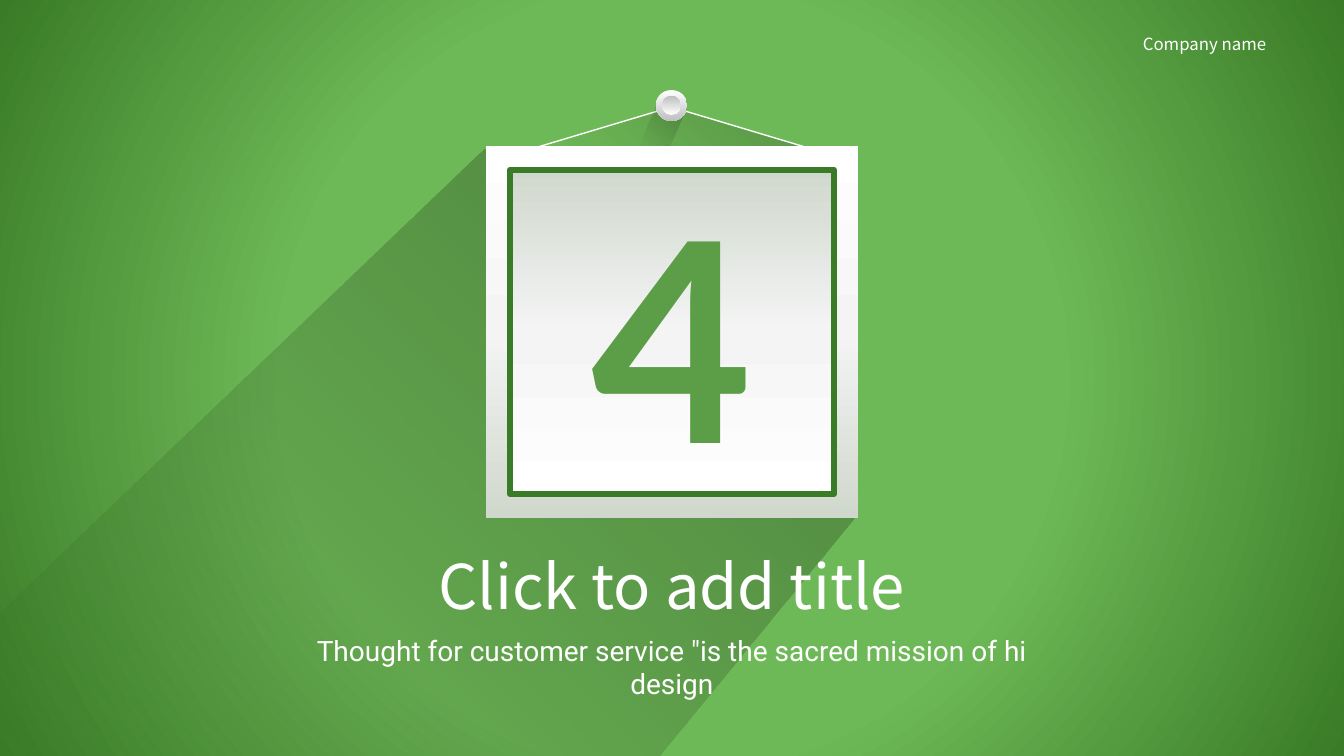
import pptx
import pptx.dml.color
import pptx.enum.shapes
import pptx.enum.text
import pptx.oxml
import pptx.oxml.ns
import pptx.util

RGB = pptx.dml.color.RGBColor
SHAPE = pptx.enum.shapes.MSO_SHAPE
ALIGN = pptx.enum.text.PP_ALIGN
ANCHOR = pptx.enum.text.MSO_ANCHOR

PX = 12192000 / 1344
WHITE = RGB(0xFF, 0xFF, 0xFF)
BLACK = RGB(0x00, 0x00, 0x00)
SILVER = RGB(0xBF, 0xBF, 0xBF)
PALE = RGB(0xF4, 0xF4, 0xF4)
SAGE = RGB(0xD0, 0xD8, 0xCD)
LIGHT_GREEN = RGB(0x6E, 0xB9, 0x57)
MID_GREEN = RGB(0x5B, 0x9E, 0x47)
DARK_GREEN = RGB(0x39, 0x7B, 0x26)

PAPER = [(0, WHITE, 100), (50, PALE, 100), (100, SAGE, 100)]
METAL = [(0, WHITE, 100), (100, SILVER, 100)]
CJK = "Noto Sans CJK SC"


def px(length):
    """Turn a length in px into EMU."""
    return round(length * PX)


def fade(alpha):
    """Return black stops that fade from alpha percent to nothing."""
    return [(0, BLACK, alpha), (100, BLACK, 0)]


def set_gradient(fill, properties, stops, angle=None):
    """Fill with a linear gradient, or a circular one without an angle."""
    fill.background()
    stop_xml = "".join(
        f'<a:gs pos="{place * 1000}"><a:srgbClr val="{color}">'
        f'<a:alpha val="{alpha * 1000}"/></a:srgbClr></a:gs>'
        for place, color, alpha in stops)
    if angle is None:
        shade = ('<a:path path="circle"><a:fillToRect l="50000" t="50000" '
                 'r="50000" b="50000"/></a:path>')
    else:
        shade = f'<a:lin ang="{angle * 60000}" scaled="0"/>'
    gradient = pptx.oxml.parse_xml(
        f'<a:gradFill {pptx.oxml.ns.nsdecls("a")} rotWithShape="1">'
        f'<a:gsLst>{stop_xml}</a:gsLst>{shade}</a:gradFill>')
    empty = properties.find(pptx.oxml.ns.qn("a:noFill"))
    properties.replace(empty, gradient)


def finish(shape, stops=None, angle=0, line=None, width=1):
    """Drop the shadow and set the gradient and outline of a shape."""
    shape.shadow.inherit = False
    if stops:
        set_gradient(shape.fill, shape.element.spPr, stops, angle)
    else:
        shape.fill.background()
    if line is None:
        shape.line.fill.background()
    else:
        shape.line.color.rgb = line
        shape.line.width = pptx.util.Pt(width)


def add_preset(slide, kind, box, **style):
    """Add a preset shape in a px box."""
    shape = slide.shapes.add_shape(kind, *map(px, box))
    finish(shape, **style)
    return shape


def add_cast_shadow(slide, box, points, alpha):
    """Add a fading shadow whose points are relative to its box."""
    left, top = box
    corners = [(left + x, top + y) for x, y in points]
    builder = slide.shapes.build_freeform(*corners[0], scale=PX)
    builder.add_line_segments(corners[1:], close=True)
    finish(builder.convert_to_shape(), fade(alpha), 135)


def write(shape, text, size, font, color, align=ALIGN.CENTER, wrap=False):
    """Write one paragraph in the middle of a shape."""
    frame = shape.text_frame
    frame.text = text
    frame.word_wrap = wrap
    frame.auto_size = pptx.enum.text.MSO_AUTO_SIZE.NONE
    frame.vertical_anchor = ANCHOR.MIDDLE
    paragraph = frame.paragraphs[0]
    paragraph.alignment = align
    paragraph.font.size = pptx.util.Pt(size)
    paragraph.font.name = font
    paragraph.font.color.rgb = color
    return paragraph


def add_hanger(slide, box):
    """Add the string, the nail's shadow and the nail above the frame."""
    left, top, width, height = box
    string = (left, top + 17, width, height - 17)
    add_preset(slide, SHAPE.ISOSCELES_TRIANGLE, string,
               stops=fade(20), angle=135)
    add_preset(slide, SHAPE.ISOSCELES_TRIANGLE, string, line=WHITE)
    add_cast_shadow(slide, (left + 101, top + 14),
                    [(0, 43), (18, 0), (47, 7), (31, 43)], 20)
    for inset, angle in ((0, 90), (6, 270)):
        size = 31 - 2 * inset
        add_preset(slide, SHAPE.OVAL,
                   (left + (width - size) / 2, top + inset, size, size),
                   stops=METAL, angle=angle)


def add_frame(slide, box, number):
    """Add the picture frame with the section number."""
    left, top, width, height = box
    margin = 24
    add_preset(slide, SHAPE.RECTANGLE, box, stops=PAPER, angle=90)
    panel = add_preset(
        slide, SHAPE.RECTANGLE,
        (left + margin, top + margin, width - 2 * margin, height - 2 * margin),
        stops=PAPER, angle=270, line=DARK_GREEN, width=4.5)
    write(panel, number, 199, "Lato", MID_GREEN, wrap=True).font.bold = True


def add_headings(slide, box, heading, thought):
    """Place the title and the line of text under it."""
    left, top, width, height = box
    title = slide.shapes.title
    title.left, title.top = px(left), px(top)
    title.width, title.height = px(width), px(85)
    write(title, heading, 44, CJK, WHITE)
    subtitle = slide.shapes.add_textbox(
        px(left), px(top + 84), px(width), px(height - 84))
    write(subtitle, thought, 20, "Roboto", WHITE, wrap=True)
    subtitle.element.addprevious(title.element)


def add_section_slide(deck):
    """Build the section slide."""
    slide = deck.slides.add_slide(deck.slide_layouts[5])
    fill = slide.background.fill
    fill.background()
    properties = slide.element.find(".//" + pptx.oxml.ns.qn("p:bgPr"))
    set_gradient(fill, properties,
                 [(50, LIGHT_GREEN, 100), (100, DARK_GREEN, 100)])
    company = slide.shapes.add_textbox(*map(px, (1133, 29, 157, 30)))
    write(company, "Company name", 12, CJK, WHITE, ALIGN.LEFT)
    add_cast_shadow(slide, (0, 149),
                    [(485, 0), (856, 368), (660, 607), (0, 607), (0, 464)], 30)
    add_hanger(slide, (538, 90, 267, 57))
    add_frame(slide, (486, 146, 372, 372), "4")
    add_headings(
        slide, (285, 542, 774, 166), "Click to add title",
        'Thought for customer service "is the sacred mission of hi design')


def main():
    """Save the deck."""
    deck = pptx.Presentation()
    deck.slide_width, deck.slide_height = px(1344), px(756)
    add_section_slide(deck)
    deck.save("out.pptx")


if __name__ == "__main__":
    main()
